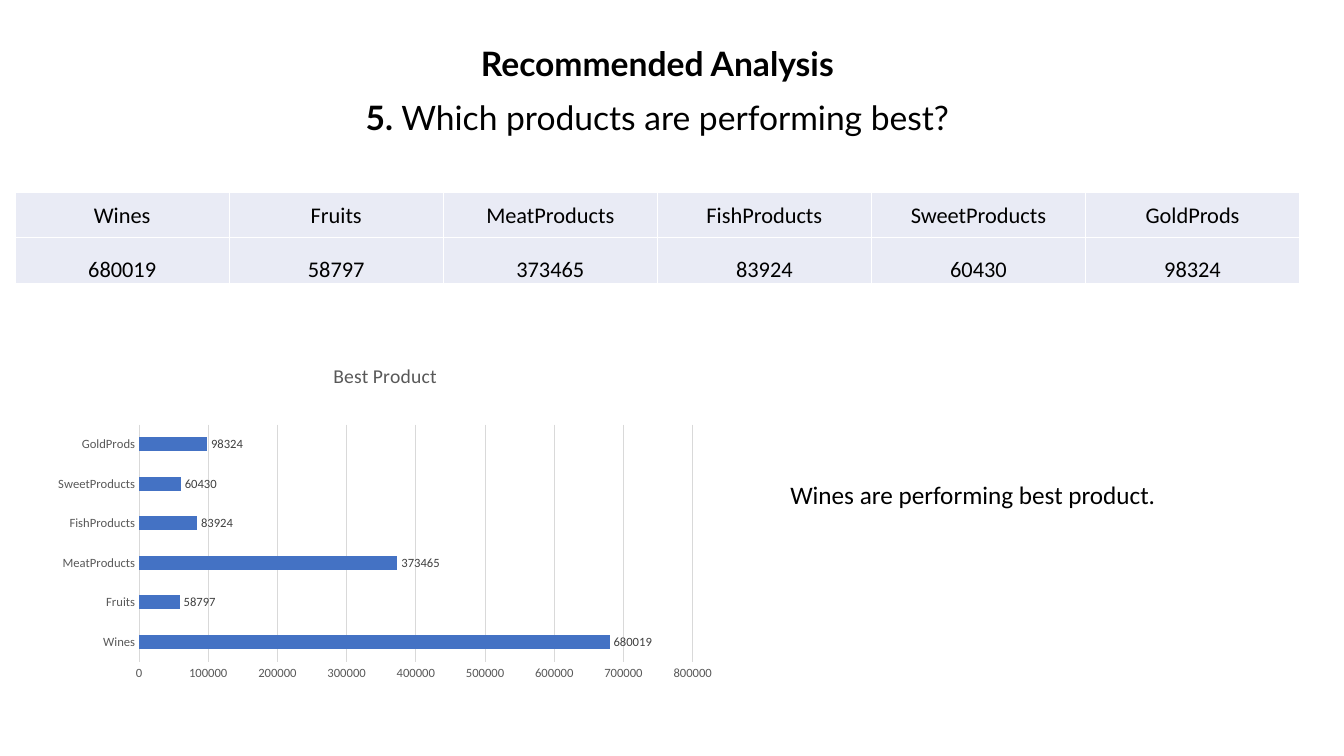
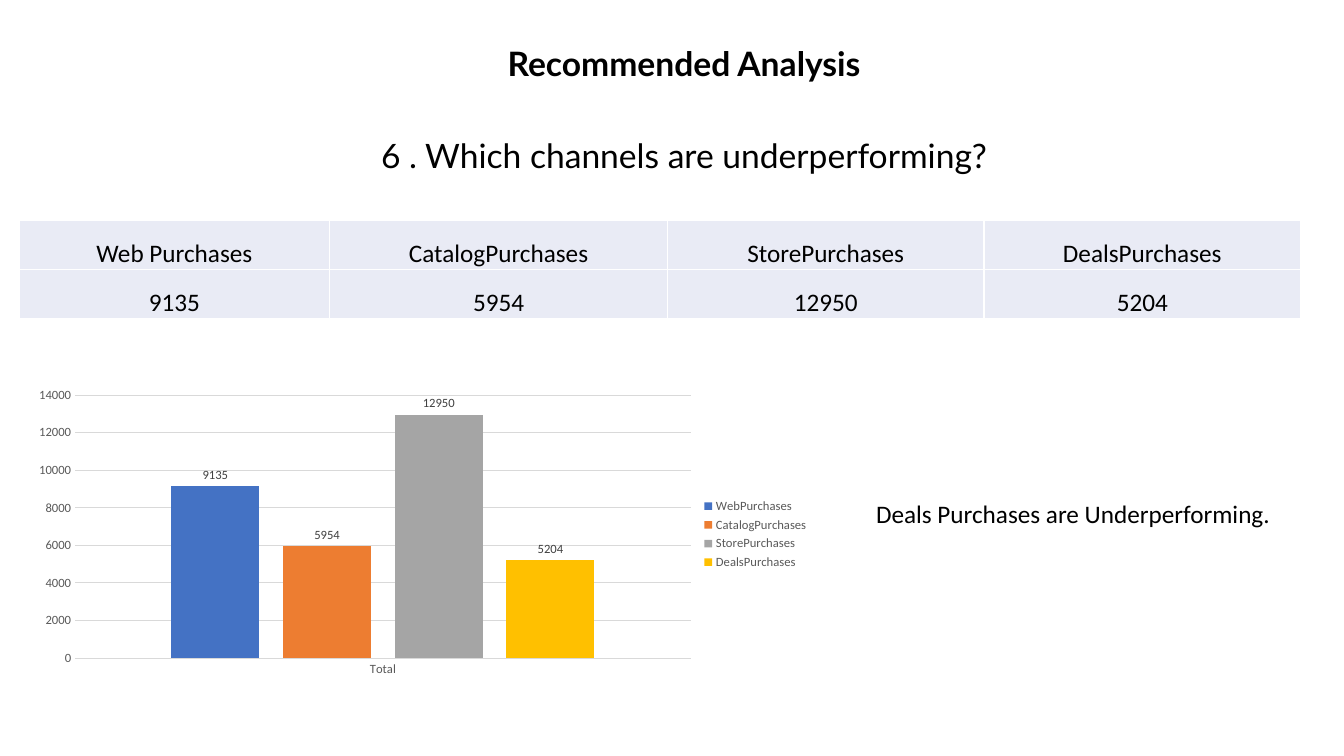
import pptx
import pptx.util
import pptx.dml.color
import pptx.enum.text
import pptx.enum.chart
import pptx.chart.data
import pptx.oxml
import pptx.oxml.ns
import lxml.etree

Inches = pptx.util.Inches
Pt = pptx.util.Pt
Align = pptx.enum.text.PP_ALIGN
Anchor = pptx.enum.text.MSO_ANCHOR
Kind = pptx.enum.chart.XL_CHART_TYPE
qn = pptx.oxml.ns.qn

COLORS = {
    "ink": "000000", "paper": "FFFFFF", "cell": "E9EBF5", "axis": "595959",
    "grid": "D9D9D9", "label": "404040", "blue": "4472C4",
    "orange": "ED7D31", "gray": "A5A5A5", "gold": "FFC000",
}
SERIES = ["blue", "orange", "gray", "gold"]
HEAD = "Lato"
BODY = "Calibri"


def rgb(name):
    return pptx.dml.color.RGBColor.from_string(COLORS[name])


def style(font, size, color="ink", face=BODY, bold=False):
    font.size, font.name, font.bold = Pt(size), face, bold
    font.color.rgb = rgb(color)


def write(para, text, align=Align.LEFT, after=0, line=1.0, **look):
    para.alignment = align
    para.space_after = Pt(after)
    para.line_spacing = line
    run = para.add_run()
    run.text = text
    style(run.font, **look)


def frame(slide, box):
    text = slide.shapes.add_textbox(*map(Inches, box)).text_frame
    text.word_wrap = True
    return text


def title(slide, box, number, ask, gap, after, bold):
    text = frame(slide, box)
    look = dict(align=Align.CENTER, line=0.9, size=24, face=HEAD)
    write(text.paragraphs[0], "Recommended Analysis", after=gap, bold=True, **look)
    para = text.add_paragraph()
    write(para, number, after=after, bold=bold, **look)
    write(para, ask, after=after, **look)


def border(cell):
    props = cell._tc.get_or_add_tcPr()
    for spot, side in enumerate(("lnL", "lnR", "lnT", "lnB")):
        edge = lxml.etree.Element(qn("a:" + side), w=str(Pt(1)))
        fill = lxml.etree.SubElement(edge, qn("a:solidFill"))
        lxml.etree.SubElement(fill, qn("a:srgbClr"), val=COLORS["paper"])
        props.insert(spot, edge)


def table(slide, box, rows, widths, size, anchors):
    grid = slide.shapes.add_table(len(rows), len(widths), *map(Inches, box)).table
    grid.first_row = grid.horz_banding = False
    for column, width in zip(grid.columns, widths):
        column.width = Inches(width)
    for r, row in enumerate(rows):
        grid.rows[r].height = Inches(box[3] / len(rows))
        for c, value in enumerate(row):
            cell = grid.cell(r, c)
            cell.fill.solid()
            cell.fill.fore_color.rgb = rgb("cell")
            cell.margin_left = cell.margin_right = cell.margin_top = Inches(0.01)
            cell.margin_bottom = 0
            cell.vertical_anchor = anchors[r]
            write(cell.text_frame.paragraphs[0], str(value), align=Align.CENTER, size=size)
            border(cell)


def layout(chart, area):
    plot = chart._chartSpace.chart.plotArea
    for old in plot.findall(qn("c:layout")):
        plot.remove(old)
    node = lxml.etree.Element(qn("c:layout"))
    manual = lxml.etree.SubElement(node, qn("c:manualLayout"))
    parts = [("layoutTarget", "inner"), ("xMode", "edge"), ("yMode", "edge")]
    for name, value in parts + list(zip("xywh", area)):
        lxml.etree.SubElement(manual, qn("c:" + name), val=str(value))
    plot.insert(0, node)


def axes(chart):
    for axis in (chart.category_axis, chart.value_axis):
        axis.major_tick_mark = axis.minor_tick_mark = pptx.enum.chart.XL_TICK_MARK.NONE
        style(axis.tick_labels.font, 9, "axis")
    chart.value_axis.format.line.fill.background()
    chart.category_axis.has_major_gridlines = False
    chart.value_axis.has_major_gridlines = True
    for line in (chart.category_axis.format.line,
                 chart.value_axis.major_gridlines.format.line):
        line.color.rgb = rgb("grid")
        line.width = Pt(0.75)


def graph(slide, box, kind, cats, series, gap, overlap, top, area, name=None):
    data = pptx.chart.data.CategoryChartData()
    data.categories = cats
    for label, values in series:
        data.add_series(label, values)
    chart = slide.shapes.add_chart(kind, *map(Inches, box), data).chart
    style(chart.font, 10)
    axes(chart)
    chart.value_axis.minimum_scale = 0
    chart.value_axis.maximum_scale = top
    layout(chart, area)
    chart.has_title = bool(name)
    if name:
        write(chart.chart_title.text_frame.paragraphs[0], name, align=Align.CENTER,
              size=14, color="axis")
        chart.chart_title.include_in_layout = False
    chart.has_legend = len(series) > 1
    if chart.has_legend:
        chart.legend.position = pptx.enum.chart.XL_LEGEND_POSITION.RIGHT
        chart.legend.include_in_layout = False
        style(chart.legend.font, 9, "axis")
    plot = chart.plots[0]
    plot.vary_by_categories = False
    plot.gap_width, plot.overlap = gap, overlap
    for item, color in zip(plot.series, SERIES):
        item.format.fill.solid()
        item.format.fill.fore_color.rgb = rgb(color)
        item.invert_if_negative = False
        labels = item.data_labels
        labels.show_value = True
        labels.position = pptx.enum.chart.XL_LABEL_POSITION.OUTSIDE_END
        style(labels.font, 9, "label")


def note(slide, box, text):
    write(frame(slide, box).paragraphs[0], text, size=18)


def goods(slide):
    names = ["Wines", "Fruits", "MeatProducts", "FishProducts", "SweetProducts", "GoldProds"]
    sums = [680019, 58797, 373465, 83924, 60430, 98324]
    wide = 12.74
    title(slide, (0.15, 0.42, wide, 6.38), "5.", " Which products are performing best?",
          gap=13, after=13, bold=True)
    table(slide, (0.15, 1.91, wide, 0.9), [names, sums],
          [wide / len(names)] * len(names), 16, [Anchor.MIDDLE, Anchor.BOTTOM])
    graph(slide, (0.43, 3.44, 6.78, 3.36), Kind.BAR_CLUSTERED, names,
          [("Series 1", sums)], gap=182, overlap=0, top=800000,
          area=(0.14, 0.23, 0.81, 0.7), name="Best Product")
    note(slide, (7.74, 4.71, 4.68, 0.4), "Wines are performing best product.")


def sales(slide):
    names = ["WebPurchases", "CatalogPurchases", "StorePurchases", "DealsPurchases"]
    sums = [9135, 5954, 12950, 5204]
    title(slide, (0.67, 0.42, 12.23, 6.38), "6 .", " Which channels are underperforming?",
          gap=40, after=7, bold=False)
    table(slide, (0.19, 2.19, 12.71, 0.97), [["Web Purchases"] + names[1:], sums],
          [3.08, 3.35, 3.14, 3.14], 18, [Anchor.BOTTOM] * 2)
    graph(slide, (0.19, 3.8, 7.93, 3), Kind.COLUMN_CLUSTERED, ["Total"],
          [(name, [value]) for name, value in zip(names, sums)],
          gap=219, overlap=-27, top=14000, area=(0.07, 0.04, 0.77, 0.87))
    note(slide, (8.59, 4.89, 4.55, 0.4), "Deals Purchases are Underperforming.")


def main():
    deck = pptx.Presentation()
    deck.slide_width, deck.slide_height = Inches(13.33), Inches(7.5)
    for build in (goods, sales):
        build(deck.slides.add_slide(deck.slide_layouts[6]))
    deck.save("out.pptx")


if __name__ == "__main__":
    main()
